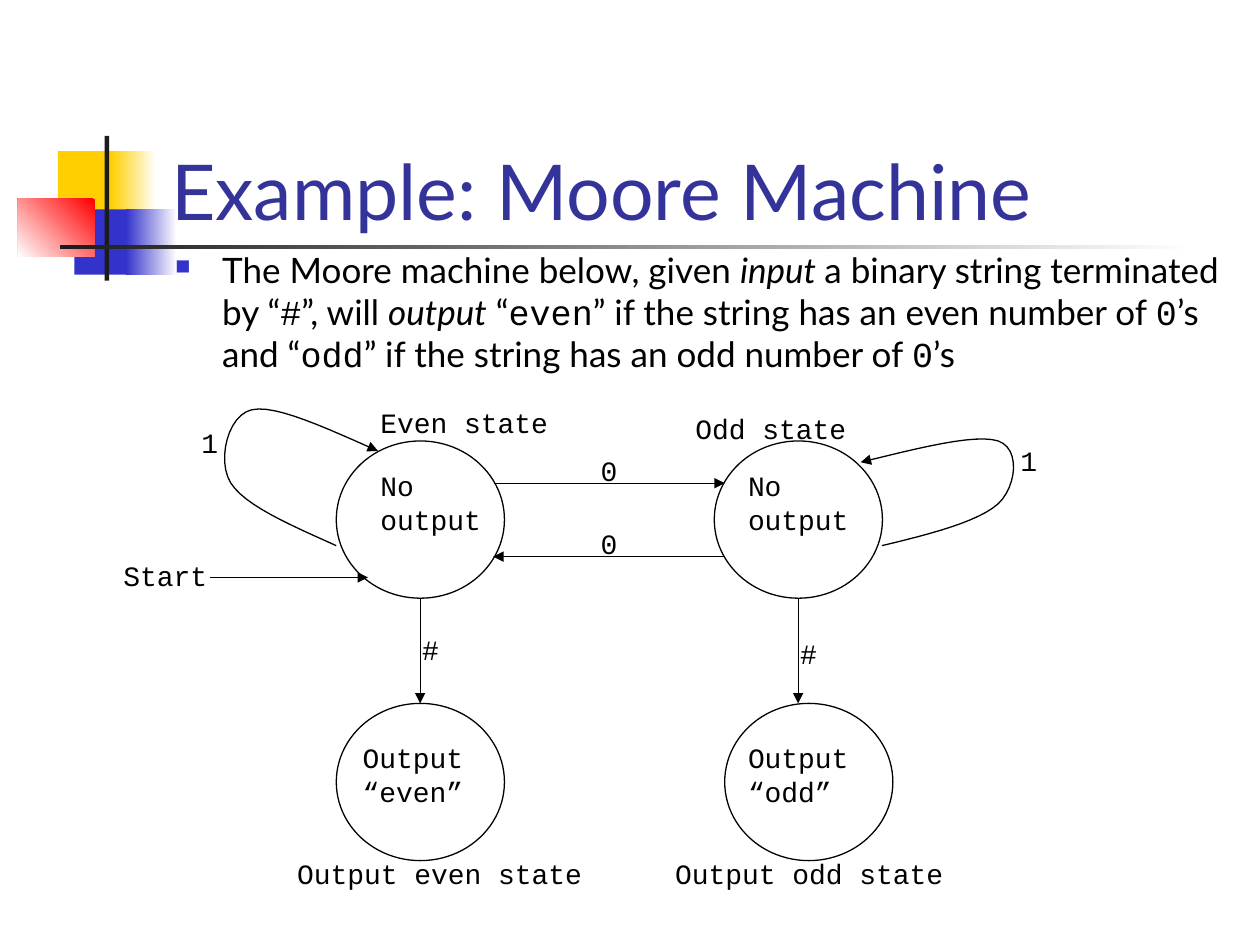
from dataclasses import dataclass
from lxml.etree import SubElement
from pptx import Presentation
from pptx.dml.color import RGBColor as RGB
from pptx.enum.shapes import MSO_CONNECTOR as Link, MSO_SHAPE as Kind
from pptx.enum.text import MSO_ANCHOR as Anchor
from pptx.oxml.ns import qn
from pptx.util import Cm, Pt

SANS, MONO = "Lato", "Courier New"
BLACK, BLUE = "000000", "3333CC"


@dataclass
class Block:
    box: tuple
    start: str
    end: str = ""
    angle: int = 180


@dataclass
class Label:
    left: float
    top: float
    text: str


@dataclass
class Arrow:
    start: tuple
    end: tuple


@dataclass
class Loop:
    start: tuple
    curves: tuple


BLOCKS = [
    Block((1.17, 3.05, 1.22, 1.32), "FFCF01"),
    Block((2.24, 3.05, 0.91, 1.32), "FFFFFF", "FFCF01"),
    Block((1.5, 4.22, 1.17, 1.32), BLUE),
    Block((2.54, 4.22, 1.02, 1.32), "FFFFFF", BLUE),
    Block((0.36, 4.01, 1.55, 1.17), "FF0000", "FFFFFF", 225),
    Block((2.11, 2.74, 0.09, 2.92), "1C1C1C"),
    Block((1.22, 4.94, 22.86, 0.09), "FFFFFF", "1C1C1C"),
]
STATES = [(6.78, 8.89), (14.4, 8.89), (6.78, 14.18), (14.61, 14.18)]
ARROWS = [
    Arrow((9.96, 9.74), (14.61, 9.74)),
    Arrow((14.61, 11.22), (9.94, 11.22)),
    Arrow((8.47, 12.06), (8.47, 14.18)),
    Arrow((16.09, 12.06), (16.09, 14.18)),
    Arrow((4.24, 11.64), (7.42, 11.64)),
]
LOOPS = [
    Loop((6.78, 11), (
        ((5.87, 10.59), (4.93, 10.19), (4.65, 9.73)),
        ((4.37, 9.27), (4.6, 8.36), (5.08, 8.26)),
        ((5.56, 8.15), (6.6, 8.64), (7.62, 9.09)))),
    Loop((17.78, 11), (
        ((18.75, 10.77), (19.71, 10.52), (20.12, 10.16)),
        ((20.5, 9.8), (20.57, 9.04), (20.12, 8.89)),
        ((19.66, 8.74), (18.49, 9.04), (17.35, 9.32)))),
]
LABELS = [
    Label(7.42, 8.05, "Even state"),
    Label(13.77, 8.18, "Odd state"),
    Label(5.74, 17.15, "Output even state"),
    Label(13.36, 17.15, "Output odd state"),
    Label(7.42, 9.32, "No\noutput"),
    Label(14.83, 9.32, "No\noutput"),
    Label(7.06, 14.81, "Output\n“even”"),
    Label(14.83, 14.81, "Output\n“odd”"),
    Label(11.86, 9.02, "0"),
    Label(11.86, 10.49, "0"),
    Label(20.32, 8.81, "1"),
    Label(3.81, 8.46, "1"),
    Label(8.26, 12.62, "#"),
    Label(15.88, 12.7, "#"),
    Label(2.24, 11.13, "Start"),
]
BODY = [
    ("The Moore machine below, given ", SANS, False),
    ("input ", SANS, True),
    ("a binary string terminated by “", SANS, False),
    ("#", MONO, False),
    ("”, will ", SANS, False),
    ("output", SANS, True),
    (" “", SANS, False),
    ("even", MONO, False),
    ("” if the string has an even number of ", SANS, False),
    ("0", MONO, False),
    ("’s and “", SANS, False),
    ("odd", MONO, False),
    ("” if the string has an odd number of ", SANS, False),
    ("0", MONO, False),
    ("’s", SANS, False),
]


def paint(color, code: str) -> None:
    color.rgb = RGB.from_string(code)


def style(font, size: int, code: str) -> None:
    font.size = Pt(size)
    paint(font.color, code)


def stroke(shape, head: bool = False) -> None:
    shape.line.width = Pt(0.75)
    paint(shape.line.color, BLACK)
    if head:
        edge = shape._element.spPr.find(qn("a:ln"))
        SubElement(edge, qn("a:tailEnd"), type="triangle")


def frame(slide, box: tuple, wrap: bool = True):
    text = slide.shapes.add_textbox(*map(Cm, box)).text_frame
    text.word_wrap = wrap
    return text


def draw_block(slide, block: Block) -> None:
    shape = slide.shapes.add_shape(Kind.RECTANGLE, *map(Cm, block.box))
    shape.shadow.inherit = False
    shape.line.fill.background()
    if block.end:
        shape.fill.gradient()
        shape.fill.gradient_angle = block.angle
        for stop, code in zip(shape.fill.gradient_stops, (block.start, block.end)):
            paint(stop.color, code)
    else:
        shape.fill.solid()
        paint(shape.fill.fore_color, block.start)


def draw_state(slide, spot: tuple) -> None:
    shape = slide.shapes.add_shape(Kind.OVAL, *map(Cm, (*spot, 3.39, 3.17)))
    shape.shadow.inherit = False
    shape.fill.background()
    stroke(shape)


def draw_arrow(slide, arrow: Arrow) -> None:
    line = slide.shapes.add_connector(
        Link.STRAIGHT, *map(Cm, (*arrow.start, *arrow.end)))
    stroke(line, head=True)
    SubElement(line._element.spPr, qn("a:effectLst"))


def bend(knots: tuple, t: float) -> tuple:
    """Return the point at t on a cubic Bezier curve."""
    parts = ((1 - t) ** 3, 3 * t * (1 - t) ** 2, 3 * t * t * (1 - t), t ** 3)
    return tuple(Cm(sum(p * k[axis] for p, k in zip(parts, knots)))
                 for axis in (0, 1))


def draw_loop(slide, loop: Loop, steps: int = 12) -> None:
    start, spots = loop.start, []
    for curve in loop.curves:
        spots += [bend((start, *curve), n / steps) for n in range(1, steps + 1)]
        start = curve[-1]
    path = slide.shapes.build_freeform(*map(Cm, loop.start))
    path.add_line_segments(spots, close=False)
    shape = path.convert_to_shape()
    shape.shadow.inherit = False
    shape.fill.background()
    stroke(shape, head=True)


def draw_label(slide, label: Label) -> None:
    lines = label.text.split("\n")
    wide = 0.51 + 0.34 * max(map(len, lines))
    high = 0.25 + 0.69 * len(lines)
    text = frame(slide, (label.left, label.top, wide, high), False)
    text.text = label.text
    for para in text.paragraphs:
        para.font.name = MONO
        style(para.font, 16, BLACK)


def draw_title(slide) -> None:
    text = frame(slide, (3.2, 1.7, 21.64, 3.18))
    text.vertical_anchor = Anchor.BOTTOM
    para = text.paragraphs[0]
    para.text = "Example: Moore Machine"
    para.font.name = SANS
    style(para.font, 44, "333399")


def draw_body(slide) -> None:
    para = frame(slide, (3.28, 4.88, 21.59, 11.43)).paragraphs[0]
    props = para._p.get_or_add_pPr()
    props.set("marL", str(Cm(0.95)))
    props.set("indent", str(Cm(-0.95)))
    SubElement(SubElement(props, qn("a:buClr")), qn("a:srgbClr"), val=BLUE)
    SubElement(props, qn("a:buSzPct"), val="60000")
    SubElement(props, qn("a:buChar"), char="■")
    style(para.font, 20, BLACK)
    for words, face, slant in BODY:
        run = para.add_run()
        run.text = words
        run.font.name = face
        run.font.italic = slant


def main() -> None:
    deck = Presentation()
    deck.slide_width, deck.slide_height = Cm(25.4), Cm(19.05)
    slide = deck.slides.add_slide(deck.slide_layouts[6])
    for block in BLOCKS:
        draw_block(slide, block)
    draw_title(slide)
    draw_body(slide)
    for draw, items in ((draw_state, STATES), (draw_arrow, ARROWS),
                        (draw_loop, LOOPS), (draw_label, LABELS)):
        for item in items:
            draw(slide, item)
    deck.save("out.pptx")


if __name__ == "__main__":
    main()
